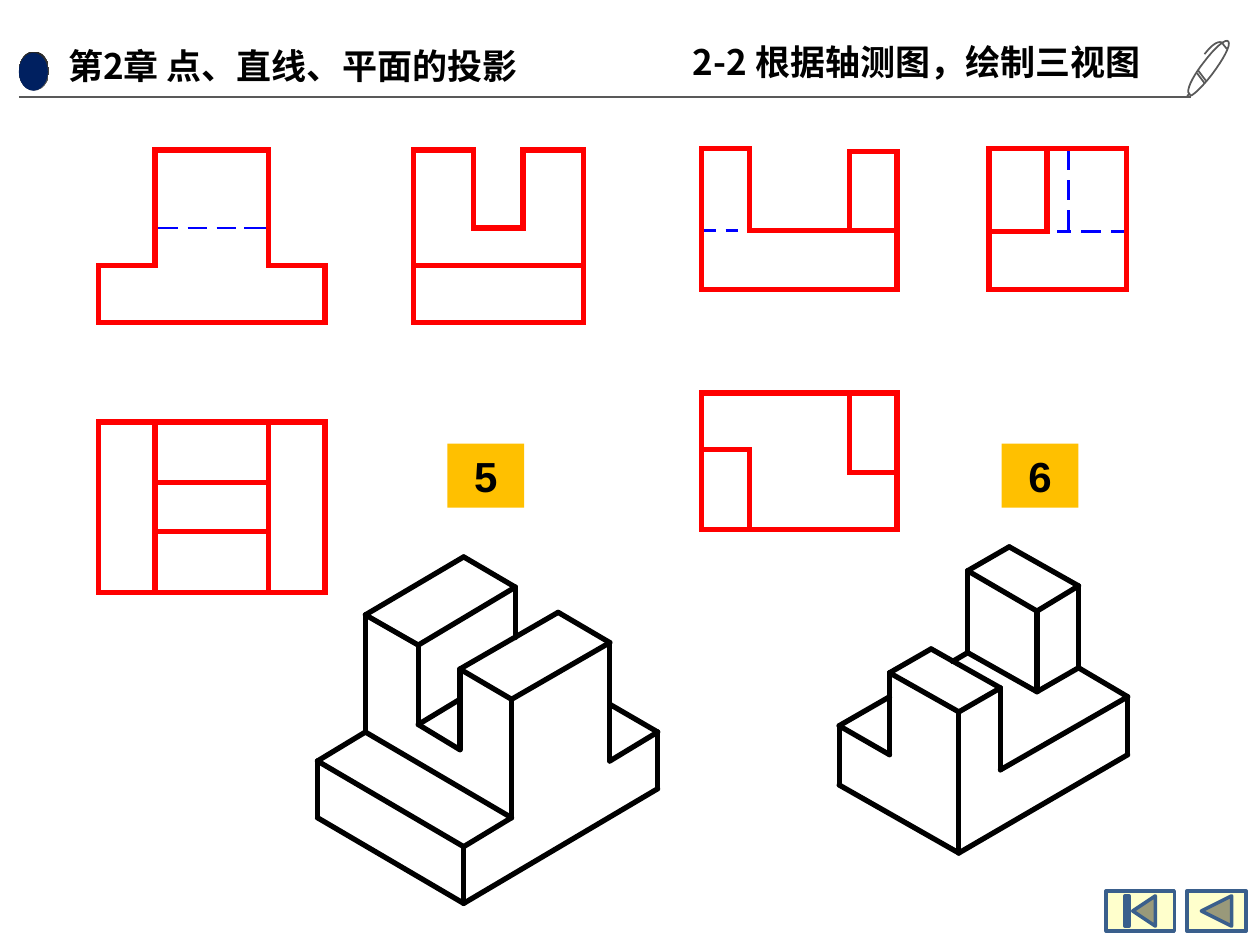
import itertools
import pptx
import pptx.util
import pptx.dml.color
import pptx.enum.shapes
import pptx.enum.text
import pptx.oxml.ns
from lxml import etree

RGB = pptx.dml.color.RGBColor
BLACK = RGB(0x00, 0x00, 0x00)
RED = RGB(0xFF, 0x00, 0x00)
BLUE = RGB(0x00, 0x00, 0xFF)
GREY = RGB(0x59, 0x59, 0x59)
DARK = RGB(0x26, 0x26, 0x26)
NAVY = RGB(0x00, 0x20, 0x60)
GOLD = RGB(0xFF, 0xC0, 0x00)
CREAM = RGB(0xFF, 0xFF, 0xCC)
STEEL = RGB(0x3A, 0x5F, 0x8C)
SCALE = 9144  # EMU in one px, 100 px to the inch
CJK = "Noto Sans CJK SC"
KIND = pptx.enum.shapes.MSO_SHAPE
FIT = pptx.enum.text.MSO_AUTO_SIZE.SHAPE_TO_FIT_TEXT
CENTER = pptx.enum.text.PP_ALIGN.CENTER
qn = pptx.oxml.ns.qn


def px(*nums):
    return [round(n * SCALE) for n in nums]


def box(x1, y1, x2, y2):
    """Closed chain around a rectangle."""
    return [(x1, y1), (x2, y1), (x2, y2), (x1, y2), (x1, y1)]


BLOCK5 = [
    [(290, 581), (290, 488), (368, 442), (409, 466), (409, 506)],
    [(290, 488), (332, 512), (409, 466)],
    [(332, 512), (332, 575), (365, 595), (365, 531), (443, 486),
     (484, 510), (484, 604), (522, 581), (484, 559)],
    [(332, 575), (365, 555)],
    [(365, 531), (406, 555), (484, 510)],
    [(406, 555), (406, 649), (290, 581), (252, 604), (252, 649),
     (368, 717), (522, 626), (522, 581)],
    [(252, 604), (368, 672), (406, 649)],
    [(368, 672), (368, 717)],
]
BLOCK6 = [
    [(666, 576), (666, 623), (761, 677), (895, 599), (895, 553), (856, 530),
     (856, 465), (801, 434), (768, 453), (768, 518), (823, 549), (856, 530)],
    [(666, 576), (706, 553)],
    [(666, 576), (706, 599), (706, 534), (739, 515), (794, 546),
     (794, 611), (895, 553)],
    [(706, 534), (761, 565), (794, 546)],
    [(761, 565), (761, 677)],
    [(756, 525), (768, 518)],
    [(768, 453), (823, 485), (856, 465)],
    [(823, 485), (823, 549)],
]
VIEWS5 = [
    [(78, 211), (123, 211), (123, 119), (213, 119), (213, 211),
     (258, 211), (258, 256), (78, 256), (78, 211)],
    [(328, 211), (328, 119), (376, 119), (376, 181), (415, 181),
     (415, 119), (463, 119), (463, 211)],
    box(328, 211, 463, 256),
    box(78, 335, 258, 470),
    *[[(x, 335), (x, 470)] for x in (123, 213)],
    *[[(123, y), (213, y)] for y in (383, 422)],
]
VIEWS6 = [
    [(557, 183), (557, 118), (595, 118), (595, 183), (712, 183),
     (712, 230), (557, 230), (557, 183)],
    [(674, 183), (674, 120), (712, 120), (712, 183)],
    box(785, 118, 894, 230),
    [(785, 184), (831, 184), (831, 118)],
    box(557, 312, 712, 420),
    [(557, 357), (595, 357), (595, 420)],
    [(674, 312), (674, 375), (712, 375)],
]
ROWS = {
    181: [(123, 141), (149, 164), (172, 187), (194, 213)],
    183: [(557, 568), (576, 586)],
    184: [(839, 850), (858, 874), (882, 894)],
}
COLS = {848: [(118, 135), (143, 159), (167, 184)]}
HIDDEN = [[(a, y), (b, y)] for y, row in ROWS.items() for a, b in row]
HIDDEN += [[(x, a), (x, b)] for x, col in COLS.items() for a, b in col]

BODY = [(975, 33), (973, 30), (964, 38), (955, 50), (948, 59), (943, 68),
        (943, 73), (945, 76), (945, 76), (945, 76), (948, 75), (955, 68),
        (962, 59), (971, 47), (977, 36), (975, 33)]
CLIP = [(974, 39), (974, 39), (972, 37), (970, 34), (970, 34), (966, 30),
        (956, 43)]
TICKS = [[(956, 66), (950, 58)], [(951, 56), (957, 64)],
         [(944, 74), (942, 77)]]


def chain(slide, pts, color, width, cap):
    """Joins each point to the next with a line."""
    for start, end in itertools.pairwise(pts):
        line = slide.shapes.add_connector(
            pptx.enum.shapes.MSO_CONNECTOR.STRAIGHT, *px(*start, *end))
        line.line.color.rgb = color
        line.line.width = pptx.util.Pt(width)
        line.line._get_or_add_ln().set("cap", cap)
        etree.SubElement(line._element.spPr, qn("a:effectLst"))


def shape(slide, kind, area, fill, edge=None):
    item = slide.shapes.add_shape(kind, *px(*area))
    item.shadow.inherit = False
    item.fill.solid()
    item.fill.fore_color.rgb = fill
    if edge:
        item.line.color.rgb = edge
        item.line.width = pptx.util.Pt(2)
    else:
        item.line.fill.background()
    return item


def write(item, text, size, face, **frame):
    """Puts one bold black line of text into a shape."""
    for key, val in dict(auto_size=FIT, **frame).items():
        setattr(item.text_frame, key, val)
    run = item.text_frame.paragraphs[0].add_run()
    run.text = text
    form = dict(size=pptx.util.Pt(size), bold=True, name=face)
    for key, val in form.items():
        setattr(run.font, key, val)
    run.font.color.rgb = BLACK
    if face == CJK:
        etree.SubElement(run._r.rPr, qn("a:ea")).set("typeface", face)


def title(slide, text, area, **frame):
    item = slide.shapes.add_textbox(*px(*area))
    write(item, text, 20, CJK, word_wrap=True, **frame)


def label(slide, text, x):
    item = shape(slide, KIND.RECTANGLE, (x, 352, 61, 51), GOLD)
    write(item, text, 24, "Arial", word_wrap=False)
    item.text_frame.paragraphs[0].alignment = CENTER


def curve(pts, steps=8):
    """Points along a run of cubic Bezier arcs."""
    out = [pts[0]]
    for i in range(0, len(pts) - 1, 3):
        for t in (n / steps for n in range(1, steps + 1)):
            u = 1 - t
            mix = (u ** 3, 3 * u * u * t, 3 * u * t * t, t ** 3)
            out.append(tuple(sum(m * p[k] for m, p in zip(mix, pts[i:i + 4]))
                             for k in (0, 1)))
    return out


def pen(slide):
    body = [px(*p) for p in curve(BODY)]
    path = slide.shapes.build_freeform(*body[0], scale=1.0)
    path.add_line_segments(body[1:], close=True)
    for part in [curve(CLIP), *TICKS]:
        pts = [px(*p) for p in part]
        path.move_to(*pts[0])
        path.add_line_segments(pts[1:], close=False)
    item = path.convert_to_shape()
    item.shadow.inherit = False
    item.fill.background()
    item.line.color.rgb = GREY
    item.line.width = pptx.util.Pt(1)


def header(slide):
    rim = shape(slide, KIND.OVAL, (15, 41, 24, 31), GREY)
    rim.fill.gradient()
    for stop, color in zip(rim.fill.gradient_stops, (GREY, DARK)):
        stop.color.rgb = color
    shape(slide, KIND.OVAL, (15, 42, 23, 30), NAVY)
    side, top = px(7, 4)
    title(slide, "第2章 点、直线、平面的投影", (47, 31, 407, 41),
          margin_left=side, margin_right=side,
          margin_top=top, margin_bottom=top)
    chain(slide, [(15, 77), (945, 77)], GREY, 0.75, "flat")
    pen(slide)
    title(slide, "2-2 根据轴测图，绘制三视图", (540, 27, 406, 44))


def main():
    deck = pptx.Presentation()
    deck.slide_width, deck.slide_height = px(1000, 750)
    slide = deck.slides.add_slide(deck.slide_layouts[6])
    shape(slide, KIND.ACTION_BUTTON_BEGINNING, (878, 707, 54, 32),
          CREAM, STEEL)
    shape(slide, KIND.ACTION_BUTTON_BACK_OR_PREVIOUS, (942, 707, 47, 32),
          CREAM, STEEL)
    header(slide)
    for pts in BLOCK5 + BLOCK6:
        chain(slide, pts, BLACK, 3, "rnd")
    for pts in HIDDEN:
        chain(slide, pts, BLUE, 1.5, "flat")
    for pts in VIEWS5 + VIEWS6:
        chain(slide, pts, RED, 3, "sq")
    label(slide, "5", 355)
    label(slide, "6", 795)
    deck.save("out.pptx")


if __name__ == "__main__":
    main()
